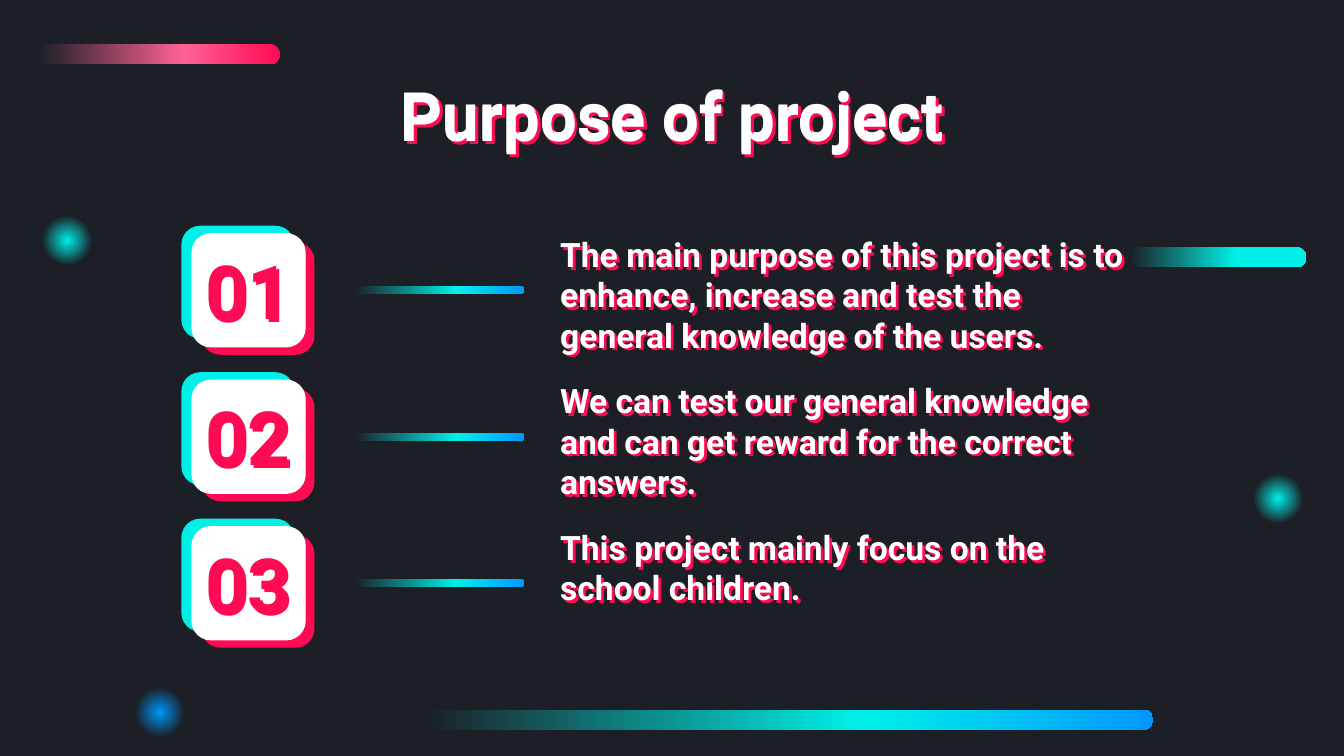
"""Build the "Purpose of project" slide with three numbered statements."""
from pptx import Presentation
from pptx.dml.color import RGBColor
from pptx.enum.shapes import MSO_SHAPE
from pptx.enum.text import MSO_ANCHOR, MSO_AUTO_SIZE, PP_ALIGN
from pptx.oxml import parse_xml
from pptx.oxml.ns import nsdecls, qn
from pptx.util import Inches, Pt

ROUNDED = MSO_SHAPE.ROUNDED_RECTANGLE
OVAL = MSO_SHAPE.OVAL
TOP, MIDDLE = MSO_ANCHOR.TOP, MSO_ANCHOR.MIDDLE
LEFT, CENTER = PP_ALIGN.LEFT, PP_ALIGN.CENTER
NO_AUTOFIT = MSO_AUTO_SIZE.NONE

DARK = RGBColor(0x1C, 0x20, 0x26)
CYAN = RGBColor(0x00, 0xF0, 0xE9)
BLUE = RGBColor(0x00, 0x98, 0xFF)
PINK = RGBColor(0xFF, 0x0B, 0x53)
LIGHT_PINK = RGBColor(0xFF, 0x61, 0x96)
WHITE = RGBColor(0xFF, 0xFF, 0xFF)

LINEAR = '<a:lin ang="0" scaled="0"/>'
RADIAL = '<a:path path="circle"><a:fillToRect l="50000" t="50000" r="50000" b="50000"/></a:path>'


def add_gradient_shape(kind, box, stops, direction):
    shape = slide.shapes.add_shape(kind, *map(Inches, box))
    shape.shadow.inherit = False
    shape.line.fill.background()
    shape.fill.background()
    stop_xml = "".join(
        f'<a:gs pos="{position * 1000}"><a:srgbClr val="{color}"/></a:gs>'
        for position, color in stops
    )
    properties = shape._element.spPr
    properties.replace(properties.find(qn("a:noFill")), parse_xml(
        f'<a:gradFill {nsdecls("a")} rotWithShape="1"><a:gsLst>{stop_xml}</a:gsLst>'
        f'{direction}</a:gradFill>'))
    return shape


def set_shadowed_text(shape, text, size, color, alignment, anchor=TOP):
    shape.fill.background()
    shape._element.spPr.append(parse_xml(
        f'<a:effectLst {nsdecls("a")}><a:outerShdw dist="{Pt(2)}" dir="2700000" algn="bl" '
        f'rotWithShape="0"><a:srgbClr val="{PINK}"/></a:outerShdw></a:effectLst>'))
    frame = shape.text_frame
    frame.word_wrap = True
    frame.auto_size = NO_AUTOFIT
    frame.vertical_anchor = anchor
    frame.margin_left = frame.margin_right = frame.margin_bottom = Inches(0.1)
    frame.margin_top = Inches(0.1 if anchor == MIDDLE else 0)
    paragraph = frame.paragraphs[0]
    paragraph.alignment = alignment
    paragraph.line_spacing = 1.0
    paragraph.space_before = Pt(0)
    run = paragraph.add_run()
    run.text = text
    run.font.name = "Roboto"
    run.font.size = Pt(size)
    run.font.bold = True
    run.font.color.rgb = color


presentation = Presentation()
presentation.slide_width = Inches(10)
presentation.slide_height = Inches(10 * 9 / 16)
slide = presentation.slides.add_slide(presentation.slide_layouts[5])
slide.background.fill.solid()
slide.background.fill.fore_color.rgb = DARK

bars = [
    ((3.17, 5.28, 5.41, 0.15), CYAN, BLUE),
    ((0.29, 0.33, 1.79, 0.15), LIGHT_PINK, PINK),
    ((8.41, 1.84, 1.31, 0.15), CYAN, CYAN),
]
for box, middle_color, end_color in bars:
    bar = add_gradient_shape(
        ROUNDED, box, [(0, DARK), (60, middle_color), (100, end_color)], LINEAR)
    bar.adjustments[0] = 0.5

for left, top, color in [(0.29, 1.58, CYAN), (0.98, 5.09, BLUE), (9.3, 3.5, CYAN)]:
    add_gradient_shape(
        OVAL, (left, top, 0.42, 0.42), [(0, color), (63, DARK), (100, DARK)], RADIAL)

title = slide.shapes.title
title.left, title.top, title.width, title.height = map(Inches, (0.79, 0.55, 8.43, 0.63))
title_overlay = slide.shapes.add_textbox(*map(Inches, (0.79, 0.57, 8.43, 0.63)))
for heading in (title, title_overlay):
    set_shadowed_text(heading, "Purpose of project", 35, WHITE, CENTER)

purposes = [
    ("The main purpose of this project is to enhance, increase and test the "
     "general knowledge of the users.", 0.47),
    ("We can test our general knowledge and can get reward for the correct answers.", 0.89),
    ("This project mainly focus on the school children.", 0.83),
]
card_layers = [(1.35, -0.06, CYAN), (1.5, 0.06, PINK), (1.43, 0, WHITE)]
for index, (purpose, height) in enumerate(purposes):
    top = 1.74 + 1.09 * index

    statement = slide.shapes.add_textbox(*map(Inches, (4.07, top, 4.44, height)))
    set_shadowed_text(statement, purpose, 18, WHITE, LEFT)

    dash = add_gradient_shape(
        ROUNDED, (2.64, top + 0.39, 1.26, 0.06),
        [(0, DARK), (60, CYAN), (100, BLUE)], LINEAR)
    dash.adjustments[0] = 0.5

    card = slide.shapes.add_group_shape()
    for left, offset, color in card_layers:
        layer = card.shapes.add_shape(
            ROUNDED, Inches(left), Inches(top + offset), Inches(0.84), Inches(0.84))
        layer.shadow.inherit = False
        layer.fill.solid()
        layer.fill.fore_color.rgb = color
        layer.line.fill.background()
    layer.line.color.rgb = WHITE
    layer.line.width = Pt(0.75)

    number = slide.shapes.add_textbox(*map(Inches, (1.35, top, 0.99, 0.83)))
    set_shadowed_text(number, f"{index + 1:02}", 40, PINK, CENTER, MIDDLE)

presentation.save("out.pptx")
